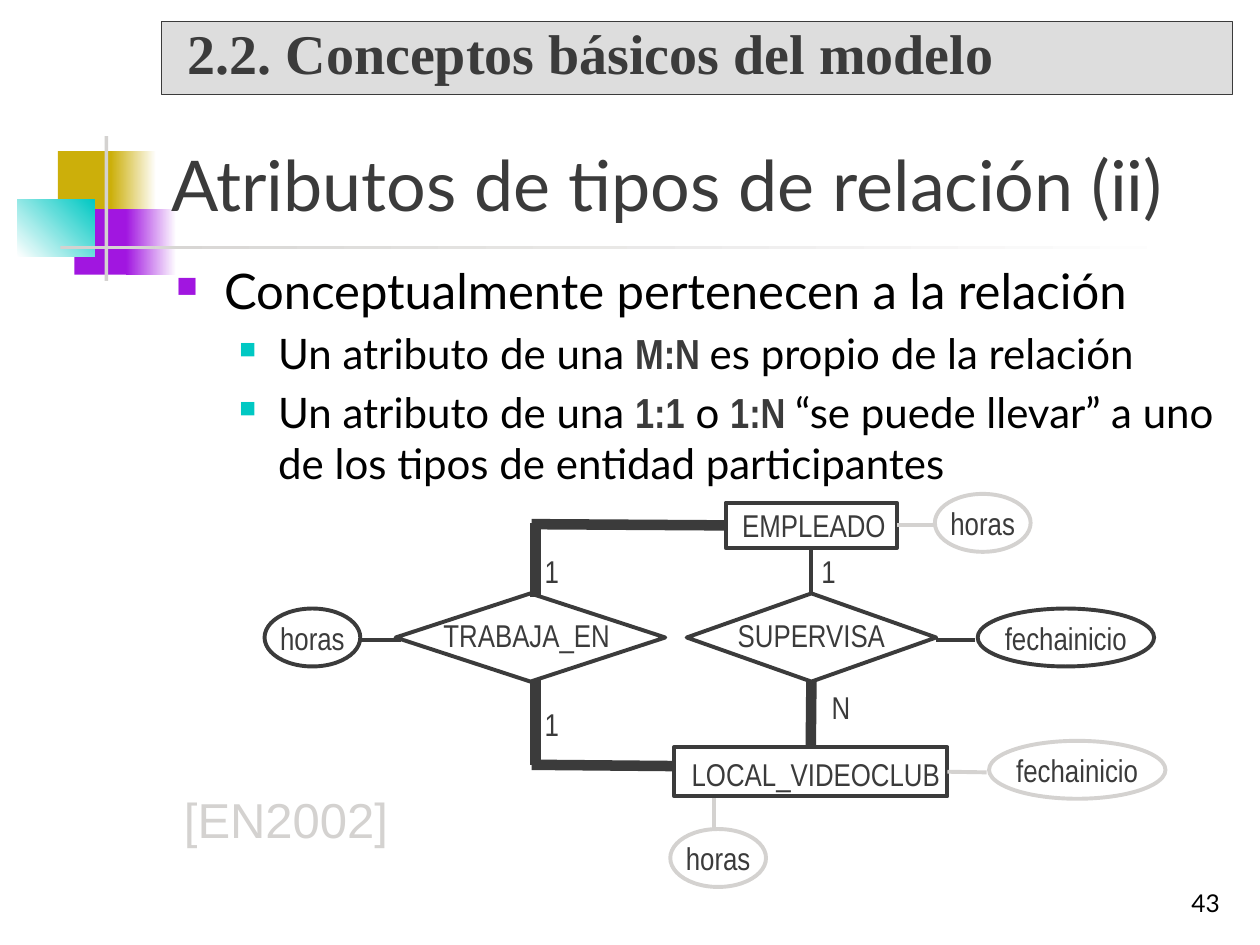
"""Build the slide on attributes of relationship types."""
from lxml import etree
from pptx import Presentation
from pptx import util as u
from pptx.dml.color import RGBColor
from pptx.enum import shapes, text
from pptx.oxml.ns import qn

COLORS = {"dark": "3B3B3B", "pale": "D4D2D0", "white": "FFFFFF", "black": "000000",
          "gold": "CCAF0A", "purple": "A116E0", "teal": "00C8C3", "banner": "DDDDDD"}
LATO, NARROW = "Lato", "Arial Narrow"
SHAPE = shapes.MSO_SHAPE
ALIGN = {"l": text.PP_ALIGN.LEFT, "c": text.PP_ALIGN.CENTER, "r": text.PP_ALIGN.RIGHT}
ANCHOR = {"t": text.MSO_ANCHOR.TOP, "m": text.MSO_ANCHOR.MIDDLE, "b": text.MSO_ANCHOR.BOTTOM}
INSETS = (0.1, 0.05, 0.1, 0.05)
LABEL_INSETS = (0, 0.05, 0, 0.01)

DECORATION = [
    ((0.46, 1.2, 0.48, 0.52), ["gold"], 0),
    ((0.88, 1.2, 0.36, 0.52), ["gold", "white"], 0),
    ((0.59, 1.66, 0.46, 0.52), ["purple"], 0),
    ((1, 1.66, 0.4, 0.52), ["purple", "white"], 0),
    ((0.14, 1.58, 0.61, 0.46), ["white", "teal"], 45),
    ((0.83, 1.08, 0.03, 1.15), ["pale"], 0),
    ((0.48, 1.95, 9, 0.03), ["pale", "white"], 0),
]
BULLETS = [
    (0, [("Conceptualmente pertenecen a la relación", False)]),
    (1, [("Un atributo de una ", False), ("M:N ", True), ("es propio de la relación", False)]),
    (1, [("Un atributo de una ", False), ("1:1", True), (" o ", False), ("1:N ", True),
         ("“se puede llevar” a uno de los tipos de entidad participantes", False)]),
]
LEVELS = [
    {"size": 28, "left": 0.38, "hang": 0.38, "color": "purple", "scale": 60},
    {"size": 24, "left": 0.81, "hang": 0.31, "color": "teal", "scale": 55},
]
ENTITIES = [
    ("EMPLEADO", (5.76, 3.99, 1.36, 0.36), (0.08, 0.01, 0.04, 0.01)),
    ("LOCAL_VIDEOCLUB", (5.35, 5.93, 2.17, 0.39), (0.08, 0.05, 0, 0.01)),
]
RELATIONSHIPS = [
    ("TRABAJA_EN", (3.14, 4.71, 2.14, 0.7), (3.42, 4.84, 1.52, 0.4)),
    ("SUPERVISA", (5.45, 4.71, 1.98, 0.7), (5.75, 4.84, 1.38, 0.4)),
]
ATTRIBUTE_WIDTHS = {"horas": 0.76, "fechainicio": 1.4}
ATTRIBUTES = [
    ("horas", 2.1, 4.83, "dark"), ("fechainicio", 7.76, 4.83, "dark"),
    ("horas", 7.42, 3.92, "pale"), ("horas", 5.32, 6.58, "pale"),
    ("fechainicio", 7.85, 5.88, "pale"),
]
CARDINALITIES = [("1", 6.52, 4.33, "l"), ("1", 4.15, 4.33, "c"),
                 ("N", 6.6, 5.41, "l"), ("1", 4.15, 5.55, "c")]
LINES = [
    ((2.86, 5.08), (3.18, 5.08), "dark", 2.25, None, None),
    ((7.43, 5.08), (7.74, 5.08), "dark", 2.25, None, None),
    ((7.12, 4.17), (7.42, 4.17), "pale", 2.25, ("EMPLEADO", 3), None),
    ((5.67, 6.58), (5.67, 6.33), "pale", 2.25, None, None),
    ((7.52, 6.13), (7.83, 6.13), "pale", 2.25, ("LOCAL_VIDEOCLUB", 3), None),
    ((4.25, 4.74), (4.25, 4.15), "dark", 6, None, None),
    ((4.25, 5.4), (4.25, 6.07), "dark", 6, None, None),
    ((4.22, 4.16), (5.76, 4.17), "dark", 6, None, ("EMPLEADO", 1)),
    ((4.22, 6.07), (5.35, 6.08), "dark", 6, None, None),
    ((6.44, 4.35), (6.44, 4.71), "dark", 2.25, ("EMPLEADO", 2), ("SUPERVISA", 0)),
    ((6.44, 5.41), (6.44, 5.93), "dark", 6, ("SUPERVISA", 2), ("LOCAL_VIDEOCLUB", 0)),
]


def rgb(name):
    return RGBColor.from_string(COLORS[name])


def style(font, size, name, color, bold=False):
    font.size, font.name, font.bold = u.Pt(size), name, bold
    font.color.rgb = rgb(color)


def set_frame(sp, insets=INSETS, anchor="t", wrap=True):
    tf = sp.text_frame
    tf.margin_left, tf.margin_top, tf.margin_right, tf.margin_bottom = map(u.Inches, insets)
    tf.vertical_anchor, tf.word_wrap = ANCHOR[anchor], wrap
    return tf


def write(sp, words, size=18, font=NARROW, color="dark", align="c", bold=False, **frame):
    tf = set_frame(sp, **frame)
    tf.text = words
    p = tf.paragraphs[0]
    p.alignment = ALIGN[align]
    style(p.runs[0].font, size, font, color, bold)
    return p


def add_shape(s, kind, box, fills, line=None, width=2.25, angle=0):
    sp = s.shapes.add_shape(kind, *map(u.Inches, box))
    sp.shadow.inherit = False
    if len(fills) == 1:
        sp.fill.solid()
        sp.fill.fore_color.rgb = rgb(fills[0])
    else:
        sp.fill.gradient()
        sp.fill.gradient_angle = angle
        for stop, color in zip(sp.fill.gradient_stops, fills):
            stop.color.rgb = rgb(color)
    if line:
        sp.line.color.rgb, sp.line.width = rgb(line), u.Pt(width)
    else:
        sp.line.fill.background()
    return sp


def add_label(s, box, words, **options):
    return write(s.shapes.add_textbox(*map(u.Inches, box)), words, **options)


def add_line(s, start, end, color, width, source, target, nodes):
    line = s.shapes.add_connector(shapes.MSO_CONNECTOR.STRAIGHT, *map(u.Inches, start + end))
    line.line.color.rgb, line.line.width = rgb(color), u.Pt(width)
    etree.SubElement(line._element.spPr, qn("a:effectLst"))
    if source:
        line.begin_connect(nodes[source[0]], source[1])
    if target:
        line.end_connect(nodes[target[0]], target[1])


def add_bullets(s, box):
    tf = set_frame(s.shapes.add_textbox(*map(u.Inches, box)))
    for i, (depth, parts) in enumerate(BULLETS):
        level = LEVELS[depth]
        p = tf.paragraphs[0] if i == 0 else tf.add_paragraph()
        p.level = depth
        p.space_before = u.Pt(0.2 * level["size"] if i else 0)
        pPr = p._p.get_or_add_pPr()
        pPr.set("marL", str(u.Inches(level["left"])))
        pPr.set("indent", str(-u.Inches(level["hang"])))
        color = etree.SubElement(pPr, qn("a:buClr"))
        etree.SubElement(color, qn("a:srgbClr"), val=COLORS[level["color"]])
        etree.SubElement(pPr, qn("a:buSzPct"), val=str(level["scale"] * 1000))
        etree.SubElement(pPr, qn("a:buChar"), char="■")
        for words, strong in parts:
            r = p.add_run()
            r.text = words
            look = (NARROW, "dark", True) if strong else (LATO, "black", False)
            style(r.font, level["size"], *look)


def main():
    prs = Presentation()
    prs.slide_width, prs.slide_height = u.Inches(10), u.Inches(7.5)
    s = prs.slides.add_slide(prs.slide_layouts[6])

    for box, fills, angle in DECORATION:
        add_shape(s, SHAPE.RECTANGLE, box, fills, angle=angle)
    add_label(s, (7.7, 6.83, 2.08, 0.5), "43", size=14, font=LATO, color="black",
              align="r", anchor="b")
    add_label(s, (1.26, 1.09, 8.52, 0.75), "Atributos de tipos de relación (ii)",
              size=40, font=LATO, align="l", anchor="b")
    add_bullets(s, (1.3, 2.02, 8.5, 2))
    add_label(s, (1.46, 6.22, 1.62, 0.53), "[EN2002]", size=28, font="Arial", color="pale",
              align="l", insets=LABEL_INSETS, wrap=False)

    nodes = {}
    for name, box, label_box in RELATIONSHIPS:
        nodes[name] = add_shape(s, SHAPE.DIAMOND, box, ["white"], "dark")
        add_label(s, label_box, name, wrap=False)
    for name, box, insets in ENTITIES:
        nodes[name] = add_shape(s, SHAPE.RECTANGLE, box, ["white"], "dark")
        write(nodes[name], name, insets=insets, anchor="m", wrap=False)
    for name, left, top, color in ATTRIBUTES:
        sp = add_shape(s, SHAPE.OVAL, (left, top, ATTRIBUTE_WIDTHS[name], 0.46), ["white"], color)
        write(sp, name, insets=(0, 0, 0, 0), anchor="m", wrap=False)
    for line in LINES:
        add_line(s, *line, nodes)
    for mark, left, top, align in CARDINALITIES:
        add_label(s, (left, top, 0.46, 0.36), mark, align=align, insets=LABEL_INSETS)

    banner = add_shape(s, SHAPE.RECTANGLE, (1.28, 0.17, 8.5, 0.58), ["banner"], "dark", 0.75)
    p = write(banner, "2.2. Conceptos básicos del modelo", size=32, font="Times New Roman",
              align="l", bold=True, insets=(0.21, 0.05, 0.1, 0.05), anchor="m")
    p.line_spacing = 0.8
    prs.save("out.pptx")


if __name__ == "__main__":
    main()
